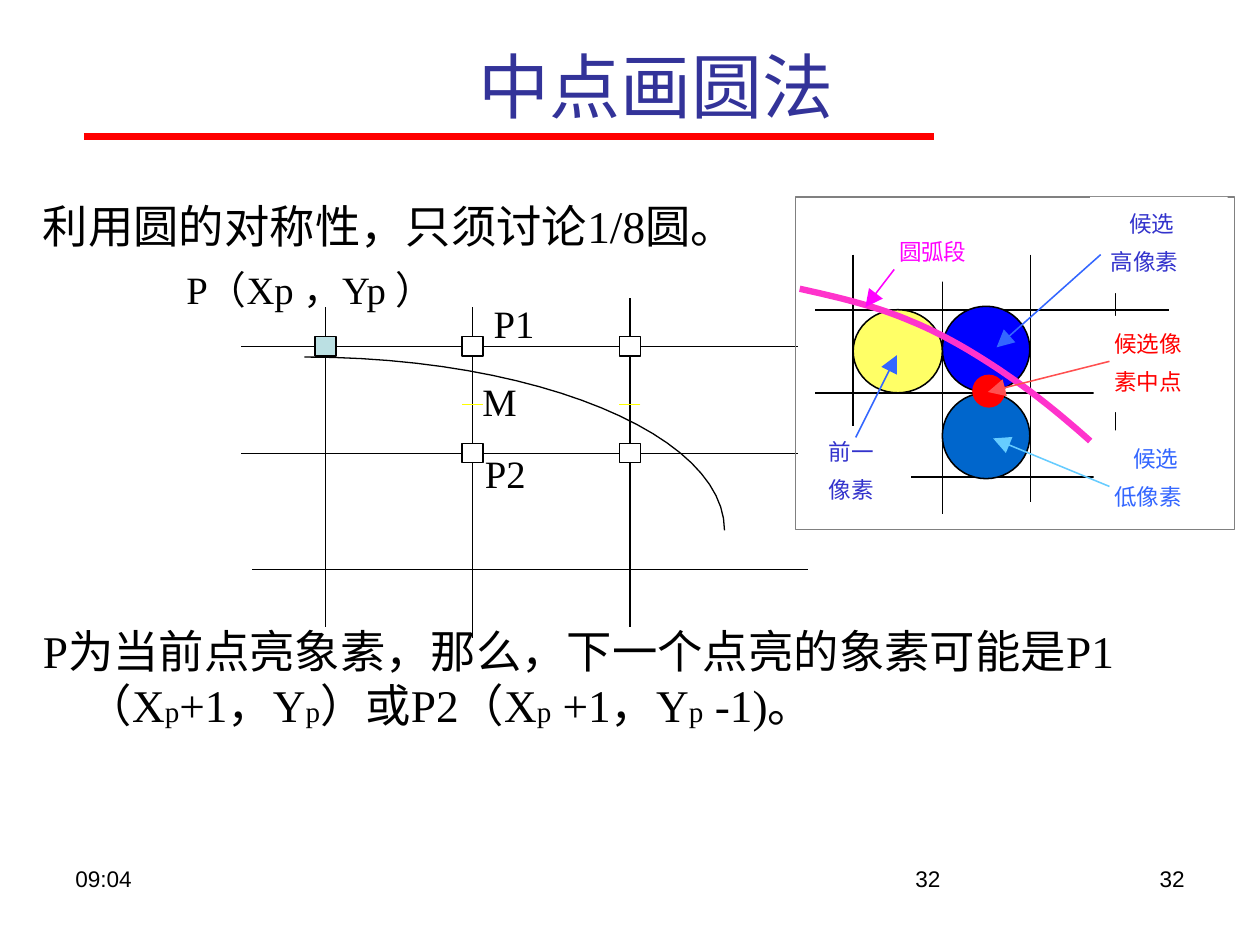
from lxml.etree import SubElement
from pptx import Presentation
from pptx.dml.color import RGBColor
from pptx.enum.shapes import MSO_CONNECTOR, MSO_SHAPE
from pptx.enum.text import MSO_ANCHOR, PP_ALIGN
from pptx.oxml.ns import qn
from pptx.util import Pt

C = {"black": "000000", "white": "FFFFFF", "red": "FF0000", "title": "333399",
     "yellow": "FFFF00", "teal": "BBE0E3", "grey": "808080", "violet": "3333CC",
     "blue": "3366FF", "sky": "66CCFF", "coral": "FF5050", "magenta": "FF00FF",
     "pink": "FF33CC", "low": "0066CC", "high": "0000FF", "previous": "FFFF66"}
SERIF, SANS, CJK = "Times New Roman", "Arial", "Noto Sans CJK SC"
THIN, INSET = 0.75, 0.88

# Runs of (text, size)
BIG, SUB = 25.9, 16.6
BODY = [
    [("利用圆的对称性，只须讨论1/8圆。", BIG)],
    [("P为当前点亮象素，那么，下一个点亮的象素可能是P1（X", BIG), ("p", SUB),
     ("+1，Y", BIG), ("p", SUB), ("）或P2（X", BIG), ("p", SUB),
     (" +1，Y", BIG), ("p", SUB), (" -1)。", BIG)],
]
BODY_GAP = 212
FOOTER = [("32", 516, PP_ALIGN.LEFT), ("32", 516, PP_ALIGN.RIGHT),
          ("09:04", 36, PP_ALIGN.LEFT)]

# Pixel grid: rows are (y, left, right), columns are (x, top, bottom)
ROWS = [(198, 138, 456), (259, 138, 456), (325.5, 144, 462)]
COLS = [(186, 175.5, 358.5), (270, 175.5, 364.5), (360, 170.5, 358.5)]
NODES = [(1, 0, "white"), (2, 0, "white"), (2, 1, "white"), (1, 1, "white"),
         (0, 0, "teal")]
MIDPOINT_Y = 231
ARC = [(174, 204), (306.5, 204), (414, 248.5), (414, 303)]
# text, left, top, width, wrap
POINTS = [("M", 268.5, 212.5, 34.5, False), ("P1", 275, 168, 38, False),
          ("P2", 270, 253.5, 38, False), ("P（Xp ，Yp ）", 99.5, 148.5, 157.5, True)]

# Candidate pixel panel
PANEL = (454.5, 112.5, 251, 190)
PANEL_ROWS = [(y, 466, 668) for y in (177, 224.5, 272.5)]
PANEL_COLS = [(487.5, 145.5, 286), (538.5, 145.5, 294), (589, 145.5, 287),
              (637.5, 145.5, 294)]
PIXELS = [(538.5, 224.5, 50, 49, "low"), (538.5, 175, 50, 49, "high"),
          (487.5, 177, 51, 47.5, "previous")]
MIDPOINT = (556, 214.5, 18, 18)
SEGMENT = [(457, 165), (479.5, 170), (501, 175), (520.5, 183.5), (540.5, 191.5),
           (561.5, 204.5), (578, 216), (594, 227), (609, 239.5), (623, 252)]
# backing box, colour, lines of (text, centre x, top)
LABELS = [
    ((623, 112.5, 78.5, 55), "violet", [("候选", 658, 120), ("高像素", 654, 142)]),
    ((625, 246, 77, 55), "blue", [("候选", 660.5, 254), ("低像素", 656, 276)]),
    ((625, 180.5, 77, 55), "red", [("候选像", 656, 188.5), ("素中点", 656, 210)]),
    ((461.5, 243.5, 59, 55), "violet", [("前一", 486.5, 250.5), ("像素", 486.5, 272)]),
    ((497.5, 128, 86.5, 33), "magenta", [("圆弧段", 533, 136)]),
]
ARROWS = [((629, 145.5), (569.5, 198.5), "blue"), ((634, 278), (567.5, 250.5), "sky"),
          ((634, 206.5), (564.5, 224), "coral"), ((489, 250), (512.5, 203), "blue"),
          ((511, 154), (494.5, 175.5), "magenta")]


def rgb(name):
    return RGBColor.from_string(C[name])


def line(s, start, end, color="black", width=THIN, arrow=False):
    ln = s.shapes.add_connector(MSO_CONNECTOR.STRAIGHT, *map(Pt, start + end))
    ln.line.color.rgb = rgb(color)
    ln.line.width = Pt(width)
    sp_pr = ln._element.spPr
    if arrow:
        SubElement(sp_pr.find(qn("a:ln")), qn("a:tailEnd"),
                   type="triangle", w="lg", len="lg")
    SubElement(sp_pr, qn("a:effectLst"))


def grid(s, rows, cols, width):
    for y, left, right in rows:
        line(s, (left, y), (right, y), width=width)
    for x, top, bottom in cols:
        line(s, (x, top), (x, bottom), width=width)


def paint(sp, fill, outline, width):
    sp.shadow.inherit = False
    if fill:
        sp.fill.solid()
        sp.fill.fore_color.rgb = rgb(fill)
    else:
        sp.fill.background()
    if outline:
        sp.line.color.rgb = rgb(outline)
        sp.line.width = Pt(width)
    else:
        sp.line.fill.background()


def shape(s, kind, box, fill=None, outline=None, width=THIN):
    paint(s.shapes.add_shape(kind, *map(Pt, box)), fill, outline, width)


def curve(s, points, color, width, steps=24):
    """Draw chained cubic Bezier segments as one open outline."""
    dots = []
    for i in range(0, len(points) - 1, 3):
        a, b, c, d = points[i:i + 4]
        for k in range(steps + 1):
            t = k / steps
            u = 1 - t
            dots.append(tuple(Pt(u**3 * a[n] + 3 * u * u * t * b[n]
                                 + 3 * u * t * t * c[n] + t**3 * d[n]) for n in (0, 1)))
    fb = s.shapes.build_freeform(*dots[0])
    fb.add_line_segments(dots[1:], close=False)
    paint(fb.convert_to_shape(), None, color, width)


def text_box(s, box, wrap=True, inset=True):
    tf = s.shapes.add_textbox(*map(Pt, box)).text_frame
    tf.word_wrap = wrap
    if not inset:
        tf.margin_left = tf.margin_right = tf.margin_top = tf.margin_bottom = 0
    return tf


def add_run(p, text, size, font, color="black"):
    r = p.add_run()
    r.text = text
    r.font.size = Pt(size)
    r.font.color.rgb = rgb(color)
    r.font.name = font
    SubElement(r._r.rPr, qn("a:ea"), typeface=CJK)


def one_line(tf, text, size, font, color="black", align=PP_ALIGN.LEFT):
    p = tf.paragraphs[0]
    p.alignment = align
    add_run(p, text, size, font, color)


def add_frame(s):
    line(s, (48, 78), (534, 78), "red", 4)
    for text, x, align in FOOTER:
        one_line(text_box(s, (x, 490.5, 168, 23)), text, 12.9, SANS, align=align)
    tf = text_box(s, (90, 21, 570, 55.5))
    tf.vertical_anchor = MSO_ANCHOR.MIDDLE
    one_line(tf, "中点画圆法", 40.6, SANS, "title", PP_ALIGN.CENTER)
    tf = text_box(s, (17.5, 109.5, 648.5, 354))
    for i, runs in enumerate(BODY):
        p = tf.add_paragraph() if i else tf.paragraphs[0]
        p_pr = p._p.get_or_add_pPr()
        p_pr.set("marL", str(Pt(25)))
        p_pr.set("indent", str(-Pt(25)))
        if i:
            p.space_before = Pt(BODY_GAP)
        for text, size in runs:
            add_run(p, text, size, SERIF)


def add_pixel_grid(s):
    grid(s, ROWS, COLS, THIN)
    curve(s, ARC, "black", THIN)
    for x, _, _ in COLS[1:]:
        line(s, (x + 6, MIDPOINT_Y), (x - 6, MIDPOINT_Y), "yellow")
    for col, row, fill in NODES:
        box = (COLS[col][0] - 6, ROWS[row][0] - 5.5, 12, 11)
        shape(s, MSO_SHAPE.RECTANGLE, box, fill, "black")
    for text, x, y, w, wrap in POINTS:
        one_line(text_box(s, (x, y, w, 34), wrap), text, 22.1, SERIF)


def add_panel(s):
    shape(s, MSO_SHAPE.RECTANGLE, PANEL, outline="grey")
    grid(s, PANEL_ROWS, PANEL_COLS, INSET)
    for *box, fill in PIXELS:
        shape(s, MSO_SHAPE.OVAL, box, fill, "black", INSET)
    curve(s, SEGMENT, "pink", 3.63)
    shape(s, MSO_SHAPE.OVAL, MIDPOINT, "red", "red", INSET)
    for backing, color, lines in LABELS:
        shape(s, MSO_SHAPE.RECTANGLE, backing, "white")
        for text, x, y in lines:
            w = 13 * len(text)
            tf = text_box(s, (x - w / 2, y, w, 16), wrap=False, inset=False)
            one_line(tf, text, 12.9, CJK, color, PP_ALIGN.CENTER)
    for start, tip, color in ARROWS:
        line(s, start, tip, color, INSET, arrow=True)


def main():
    prs = Presentation()
    prs.slide_width, prs.slide_height = Pt(720), Pt(540)
    s = prs.slides.add_slide(prs.slide_layouts[6])
    add_frame(s)
    add_pixel_grid(s)
    add_panel(s)
    prs.save("out.pptx")


if __name__ == "__main__":
    main()
